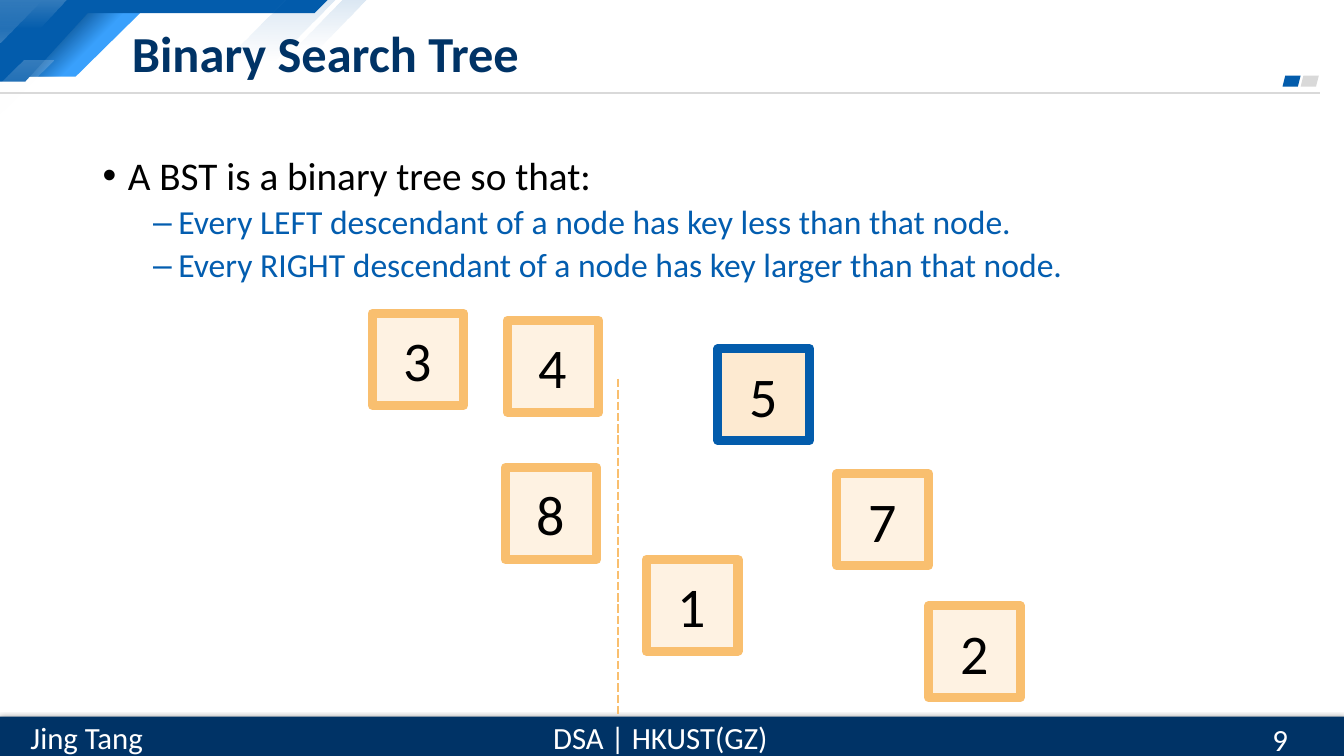
import pptx
import pptx.dml.color
import pptx.enum.dml
import pptx.enum.shapes
import pptx.enum.text
import pptx.oxml.ns
import pptx.util
from lxml import etree

Inches, Pt = pptx.util.Inches, pptx.util.Pt
SHAPE = pptx.enum.shapes.MSO_SHAPE
ALIGN = pptx.enum.text.PP_ALIGN
qn = pptx.oxml.ns.qn

COLORS = {
    "white": "FFFFFF", "black": "000000", "navy": "003366", "blue": "035CAC",
    "deep": "024581", "sky": "39A0FC", "grey": "D9D9D9", "orange": "F9BF6F",
    "cream": "FEF2E2", "peach": "FDEAD1", "detail": "035DAF",
}
NODE_SIZE = 0.91


def rgb(name):
    return pptx.dml.color.RGBColor.from_string(COLORS[name])


def add_alpha(color, percent):
    etree.SubElement(color, qn("a:alpha"), val=str(percent * 1000))


class SlideBuilder:
    font = "Calibri"

    def __init__(self, slide):
        self.slide = slide
        self.shapes = slide.shapes

    def style(self, shape, fill, line=None, width=0):
        shape.shadow.inherit = False
        shape.fill.solid()
        shape.fill.fore_color.rgb = rgb(fill)
        if line:
            shape.line.color.rgb = rgb(line)
            shape.line.width = Pt(width)
        else:
            shape.line.fill.background()
        return shape

    def fade(self, shape, color, angle=90, opacity=20, start=0, end=100):
        """Fade one colour to clear, between two positions in percent."""
        shape.fill.gradient()
        for stop, position in zip(shape.fill.gradient_stops, (start, end)):
            stop.color.rgb = rgb(color)
            stop.position = position / 100
        shape.fill.gradient_angle = 360 - angle
        gradient = shape.element.spPr.find(qn("a:gradFill"))
        for stop_color, alpha in zip(gradient.iter(qn("a:srgbClr")), (opacity, 0)):
            add_alpha(stop_color, alpha)

    def shape(self, kind, box, fill, line=None, width=0):
        shape = self.shapes.add_shape(kind, *map(Inches, box))
        return self.style(shape, fill, line, width)

    def polygon(self, points, fill):
        corners = [(Inches(x), Inches(y)) for x, y in points]
        builder = self.shapes.build_freeform(*corners[0], scale=1.0)
        builder.add_line_segments(corners[1:], close=True)
        return self.style(builder.convert_to_shape(), fill)

    def line(self, start, end, color, width, dash=None):
        line = self.shapes.add_connector(
            pptx.enum.shapes.MSO_CONNECTOR.STRAIGHT, *map(Inches, start + end))
        line.line.color.rgb = rgb(color)
        line.line.width = Pt(width)
        if dash:
            line.line.dash_style = dash
        etree.SubElement(line.element.spPr, qn("a:effectLst"))

    def set_font(self, paragraph, size, color, bold=False):
        font = paragraph.font
        font.name, font.size, font.bold = self.font, Pt(size), bold
        font.color.rgb = rgb(color)

    def text_box(self, box, anchor):
        frame = self.shapes.add_textbox(*map(Inches, box)).text_frame
        frame.word_wrap = True
        frame.vertical_anchor = anchor
        return frame

    def label(self, text, box, size, color, align=ALIGN.LEFT, bold=False):
        frame = self.text_box(box, pptx.enum.text.MSO_ANCHOR.MIDDLE)
        paragraph = frame.paragraphs[0]
        paragraph.text = text
        paragraph.alignment = align
        self.set_font(paragraph, size, color, bold)

    def node(self, key, left, top, fill="cream", line="orange"):
        box = (left, top, NODE_SIZE, NODE_SIZE)
        node = self.shape(SHAPE.RECTANGLE, box, fill, line, 6.5)
        node.text_frame.vertical_anchor = pptx.enum.text.MSO_ANCHOR.MIDDLE
        paragraph = node.text_frame.paragraphs[0]
        paragraph.text = str(key)
        paragraph.alignment = ALIGN.CENTER
        self.set_font(paragraph, 40, "black")

    def bullets(self, box, items):
        """Write (level, text) items as a two-level list."""
        styles = [("•", 0.25, 28, "black", 10), ("–", 0.75, 24, "detail", 5)]
        frame = self.text_box(box, pptx.enum.text.MSO_ANCHOR.TOP)
        for index, (level, text) in enumerate(items):
            mark, margin, size, color, before = styles[level]
            paragraph = frame.add_paragraph() if index else frame.paragraphs[0]
            paragraph.text = text
            paragraph.level = level
            paragraph.line_spacing = 0.9
            paragraph.space_before = Pt(before if index else 0)
            props = paragraph._p.get_or_add_pPr()
            props.set("marL", str(Inches(margin)))
            props.set("indent", str(Inches(-0.25)))
            etree.SubElement(props, qn("a:buFont"), typeface="Arial")
            etree.SubElement(props, qn("a:buChar"), char=mark)
            self.set_font(paragraph, size, color)


def draw_corner(page):
    band = [(0.84, 0.07), (1.45, 0.07), (0.75, 0.76), (0.16, 0.76)]
    page.polygon(band, "sky")
    page.fade(page.polygon(band, "deep"), "deep", 45, 100, 29, 57)
    page.polygon([(0, 0), (3.25, 0), (3.12, 0.13), (0.87, 0.13),
                  (0.25, 0.81), (0, 0.81)], "blue")
    triangle = page.shape(SHAPE.RIGHT_TRIANGLE, (0, 0, 0.42, 0.42), "white")
    triangle.element.spPr.find(qn("a:xfrm")).set("flipV", "1")
    page.fade(triangle, "white")
    stripes = [
        ([(0, 0), (0.66, 0), (0.39, 0.28), (0, 0.28)], "white", 20),
        ([(2.84, 0), (3.33, 0), (2.72, 0.61), (2.22, 0.61)], "blue", 15),
        ([(3.4, 0), (3.64, 0), (3.15, 0.49), (2.91, 0.49)], "blue", 15),
        ([(0.23, 0.6), (0.53, 0.6), (-0.07, 1.2), (-0.37, 1.2)], "white", 20),
    ]
    for points, color, opacity in stripes:
        page.fade(page.polygon(points, color), color, opacity=opacity)


def draw_frame(page):
    page.line((0, 0.92), (13.09, 0.92), "grey", 1.5)
    for left, color in ((12.9, "grey"), (12.72, "blue")):
        page.shape(SHAPE.PARALLELOGRAM, (left, 0.75, 0.18, 0.11), color)
    footer = page.shape(SHAPE.RECTANGLE, (0, 7.11, 13.33, 0.4), "navy")
    effects = footer.element.spPr.find(qn("a:effectLst"))
    shadow = etree.SubElement(
        effects, qn("a:outerShdw"), blurRad=str(Pt(4.5)), dist=str(Pt(1.5)),
        dir="5400000", algn="t", rotWithShape="0")
    add_alpha(etree.SubElement(shadow, qn("a:srgbClr"), val=COLORS["black"]), 63)
    page.label("DSA | HKUST(GZ)", (5.36, 7.08, 2.38, 0.47), 22, "white", ALIGN.CENTER)
    page.label("Jing Tang", (0.16, 7.08, 1.4, 0.47), 22, "white", ALIGN.CENTER)
    page.label("9", (12.52, 7.13, 0.81, 0.4), 22, "white")


def main():
    deck = pptx.Presentation()
    deck.slide_width, deck.slide_height = Inches(13.33), Inches(7.5)
    page = SlideBuilder(deck.slides.add_slide(deck.slide_layouts[6]))
    draw_corner(page)
    draw_frame(page)
    page.label("Binary Search Tree", (1.21, 0.17, 10.21, 0.69), 36, "navy", bold=True)

    nodes = [(4, 5.03, 3.18), (2, 9.21, 6.01), (8, 5.01, 4.64),
             (7, 8.3, 4.7), (1, 6.41, 5.55), (3, 3.69, 3.11)]
    for key, left, top in nodes:
        page.node(key, left, top)
    page.node(5, 7.12, 3.46, "peach", "blue")
    page.line((6.13, 3.76), (6.13, 7.09), "orange", 2,
              pptx.enum.dml.MSO_LINE.SQUARE_DOT)

    page.bullets((0.92, 1.5, 11.5, 5.12), [
        (0, "A BST is a binary tree so that:"),
        (1, "Every LEFT descendant of a node has key less than that node."),
        (1, "Every RIGHT descendant of a node has key larger than that node."),
    ])
    deck.save("out.pptx")


if __name__ == "__main__":
    main()
